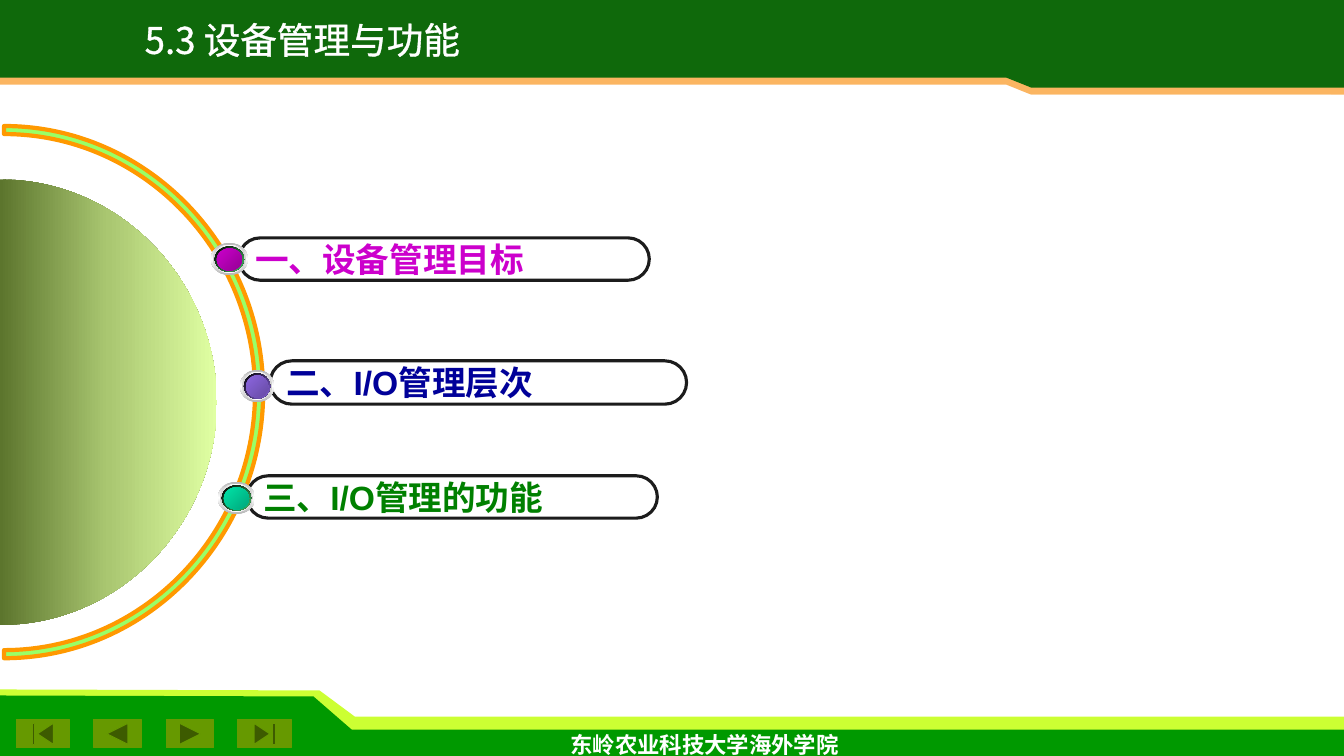
from lxml import etree
from pptx import Presentation
from pptx import util as u
from pptx.dml.color import RGBColor
from pptx.enum import shapes, text
from pptx.oxml.ns import qn

Preset = shapes.MSO_SHAPE
COLORS = {
    "white": "FFFFFF", "header": "0F690B", "header_edge": "FBB561",
    "footer": "009900", "footer_edge": "CCFF33", "button": "669900",
    "ring": "99FF66", "ring_line": "FF9900", "bar_line": "1C1C1C",
    "disc_dark": "5C752D", "disc_middle": "AAC771", "disc_light": "E0FFA3",
    "rim": "B6B6B6", "inner_rim": "D1D1D1", "black": "000000",
}
CJK_FONT = "Noto Sans CJK SC"
ARC_RATIO = 0.55  # handle length of a quarter arc, as a share of its radius

# label, text colour, bar box, bullet left/top/width, bulb light/dark, socket
ITEMS = [
    ("一、设备管理目标", "CC00CC", (2.37, 2.36, 4.07, 0.42),
     (2.09, 2.41, 0.37), ("CC00CC", "950095"), "48BE67"),
    ("二、I/O管理层次", "000099", (2.68, 3.58, 4.13, 0.43),
     (2.38, 3.67, 0.34), ("8D67E1", "674BA4"), "8D67E1"),
    ("三、I/O管理的功能", "008000", (2.45, 4.72, 4.07, 0.42),
     (2.16, 4.78, 0.37), ("00E4A8", "00A77B"), "48BE67"),
]
BUTTONS = [
    (Preset.ACTION_BUTTON_BACK_OR_PREVIOUS, 0.93, 0.47),
    (Preset.ACTION_BUTTON_FORWARD_OR_NEXT, 1.65, 0.47),
    (Preset.ACTION_BUTTON_BEGINNING, 0.16, 0.53),
    (Preset.ACTION_BUTTON_END, 2.36, 0.53),
]


def rgb(value):
    """Turn a hex string into a colour."""
    return RGBColor.from_string(value)


def inches(values):
    """Turn several numbers into lengths."""
    return [u.Inches(value) for value in values]


def paint(shape, fill=None, line=None, width=0.75):
    """Set a shape's fill and line and remove its shadow."""
    shape.shadow.inherit = False
    if fill:
        shape.fill.solid()
        shape.fill.fore_color.rgb = rgb(fill)
    else:
        shape.fill.background()
    if line:
        shape.line.color.rgb = rgb(line)
        shape.line.width = u.Pt(width)
    else:
        shape.line.fill.background()
    return shape


def shade(shape, colors, angle):
    """Give a shape evenly spaced gradient stops, angle clockwise."""
    shape.fill.gradient()
    shape.fill.gradient_angle = -angle % 360
    stops = next(shape._element.iter(qn("a:gsLst")))
    for stop in list(stops):
        stops.remove(stop)
    for index, color in enumerate(colors):
        position = round(100000 * index / (len(colors) - 1))
        stop = etree.SubElement(stops, qn("a:gs"), pos=str(position))
        etree.SubElement(stop, qn("a:srgbClr"), val=color)


def write(shape, words, size, color, font="Arial", bold=False,
          anchor=text.MSO_ANCHOR.MIDDLE, align=text.PP_ALIGN.LEFT,
          spacing=1.0, outline=None):
    """Put one formatted line of text into a shape."""
    frame = shape.text_frame
    frame.word_wrap = False
    frame.auto_size = text.MSO_AUTO_SIZE.NONE
    frame.vertical_anchor = anchor
    frame.margin_left = frame.margin_right = u.Inches(0.1)
    frame.margin_top = frame.margin_bottom = u.Inches(0.05)
    para = frame.paragraphs[0]
    para.alignment = align
    para.line_spacing = spacing
    span = para.add_run()
    span.text = words
    span.font.size = u.Pt(size)
    span.font.bold = bold
    span.font.name = font
    span.font.color.rgb = rgb(color)
    properties = span.font._element
    etree.SubElement(properties, qn("a:ea"), typeface=CJK_FONT)
    if outline:
        line = etree.Element(qn("a:ln"), w=str(u.Pt(outline)))
        fill = etree.SubElement(line, qn("a:solidFill"))
        etree.SubElement(fill, qn("a:srgbClr"), val=color)
        properties.insert(0, line)


def add_outline(page, points, curves=(), **style):
    """Draw a closed outline; curves holds the first segment of each curve."""
    corners = [inches(point) for point in points]
    builder = page.shapes.build_freeform(*corners[0], scale=1.0)
    builder.add_line_segments(corners[1:], close=True)
    shape = builder.convert_to_shape()
    segments = list(shape._element.iter(qn("a:lnTo")))
    for start in curves:
        curve = etree.Element(qn("a:cubicBezTo"))
        segments[start].addprevious(curve)
        for segment in segments[start:start + 3]:
            curve.append(segment[0])
            segment.getparent().remove(segment)
    return paint(shape, **style)


def half_ellipse(left, middle, width, height):
    """List the ends and handles of a right-hand half ellipse, top to bottom."""
    reach, rise = width * ARC_RATIO, height * ARC_RATIO
    return [(left, middle - height), (left + reach, middle - height),
            (left + width, middle - rise), (left + width, middle),
            (left + width, middle + rise), (left + reach, middle + height),
            (left, middle + height)]


def add_bands(page):
    """Draw the footer and header bands with their coloured edges."""
    add_outline(page, [(0, 7.4), (13.33, 7.4), (13.33, 7.11), (3.52, 7.11),
                       (3.17, 6.85), (0, 6.84)], fill=COLORS["footer_edge"])
    add_outline(page, [(0, 7.5), (13.33, 7.5), (13.33, 7.24), (3.49, 7.24),
                       (3.11, 6.91), (0, 6.9)], fill=COLORS["footer"])
    for color, left_y, right_y in (("header_edge", 0.84, 0.94), ("header", 0.77, 0.87)):
        add_outline(page, [(13.33, 0), (0, 0), (0, left_y), (9.98, left_y),
                           (10.23, right_y), (13.33, right_y)], fill=COLORS[color])
    gleam = add_outline(page, [(10.06, 0.94), (13.2, 0.94), (13.19, 0.99),
                               (10.19, 1)], fill=COLORS["white"])
    tint = next(gleam._element.iter(qn("a:srgbClr")))
    etree.SubElement(tint, qn("a:alpha"), val="30000")


def add_buttons(page):
    """Draw the navigation buttons in the footer."""
    for kind, left, width in BUTTONS:
        button = page.shapes.add_shape(kind, *inches((left, 7.14, width, 0.28)))
        paint(button, COLORS["button"], COLORS["button"])


def add_dial(page):
    """Draw the half ring and the shaded half disc inside it."""
    outer = half_ellipse(0.04, 3.89, 2.57, 2.64)
    inner = half_ellipse(0.04, 3.89, 2.49, 2.56)
    add_outline(page, outer + inner[::-1], curves=(0, 3, 7, 10),
                fill=COLORS["ring"], line=COLORS["ring_line"], width=3)
    disc = add_outline(page, half_ellipse(0, 3.99, 2.15, 2.21), curves=(0, 3))
    shade(disc, [COLORS["disc_" + tone] for tone in ("dark", "middle", "light")], 0)


def add_bullet(page, left, top, width, bulb, socket):
    """Draw a glossy round bullet as nested ellipses."""
    white, rim, inner_rim = (COLORS[name] for name in ("white", "rim", "inner_rim"))
    layers = [
        (0, 0, 0.32, (rim, white, rim), 90),
        (0.02, 0.04, 0.28, (inner_rim, white, inner_rim), 0),
        (0.04, 0.08, 0.25, (COLORS["black"], socket), 45),
        (0.06, 0.12, 0.22, bulb, 45),
    ]
    for offset, shrink, height, colors, angle in layers:
        box = (left + offset, top + offset * 0.9, width - shrink, height)
        oval = paint(page.shapes.add_shape(Preset.OVAL, *inches(box)))
        shade(oval, colors, angle)


def add_item(page, label, color, bar_box, bullet, bulb, socket):
    """Draw one agenda bar with its label and bullet."""
    bar = page.shapes.add_shape(Preset.ROUNDED_RECTANGLE, *inches(bar_box))
    bar.adjustments[0] = 0.5
    paint(bar, line=COLORS["bar_line"], width=2.25)
    write(bar, label, 24, color, bold=True)
    add_bullet(page, *bullet, bulb, socket)


def add_title(page):
    """Place the title over the header band."""
    title = page.shapes.title
    title.left, title.top, title.width, title.height = inches((0.44, 0.2, 5.12, 0.46))
    write(title, "5.3 设备管理与功能", 26.1, COLORS["white"], font=CJK_FONT,
          align=text.PP_ALIGN.CENTER, spacing=0.8, outline=1.5)
    page.shapes._spTree.append(title._element)


def main():
    """Build the slide and save it."""
    deck = Presentation()
    deck.slide_width, deck.slide_height = inches((13.33, 7.5))
    page = deck.slides.add_slide(deck.slide_layouts[5])
    add_bands(page)
    add_buttons(page)
    school = page.shapes.add_textbox(*inches((5.56, 7.2, 2.92, 0.37)))
    write(school, "东岭农业科技大学海外学院", 16, COLORS["white"], font="Open Sans",
          bold=True, anchor=text.MSO_ANCHOR.TOP)
    add_dial(page)
    for item in ITEMS:
        add_item(page, *item)
    add_title(page)
    deck.save("out.pptx")


main()
